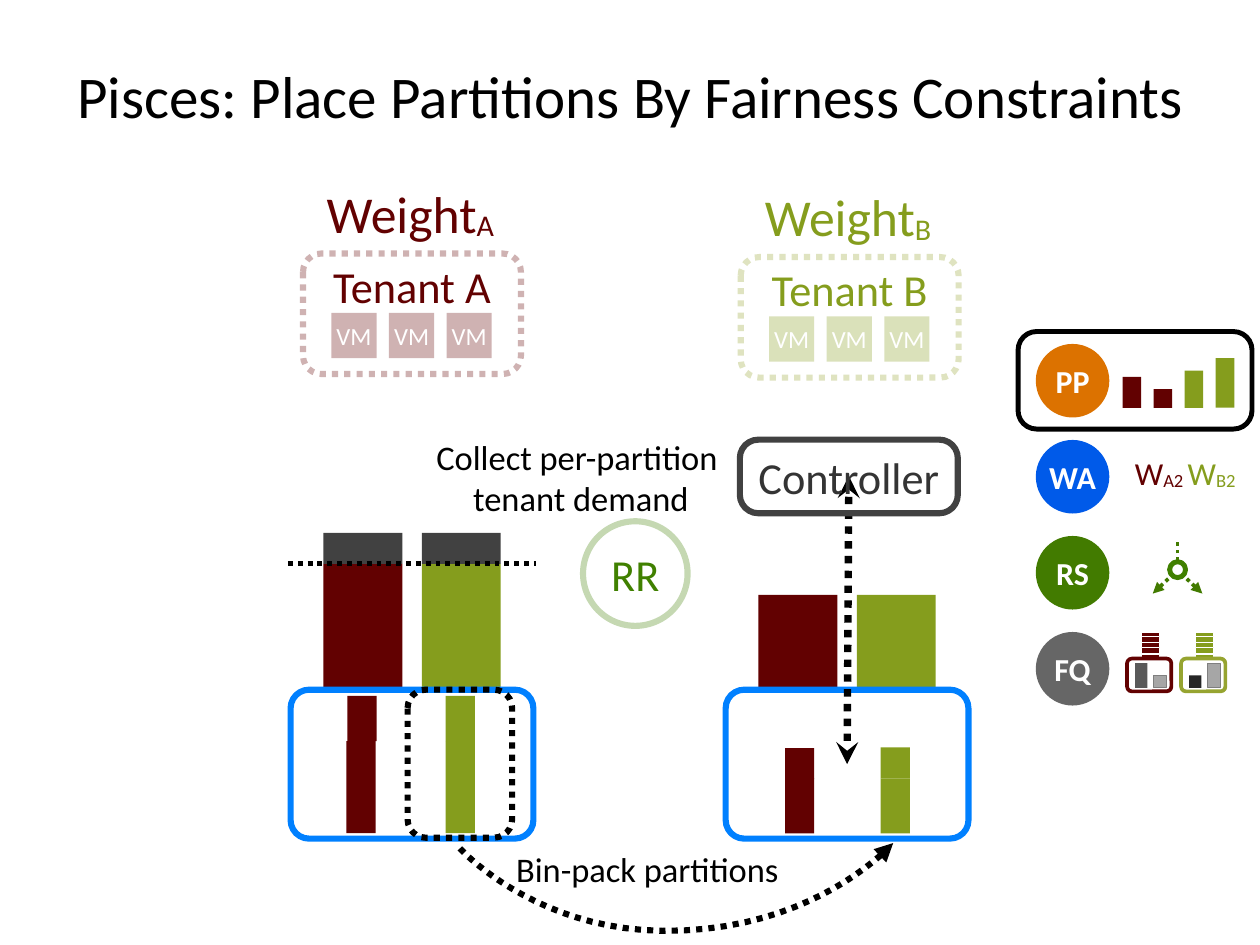
from lxml import etree
from pptx import Presentation
from pptx.dml.color import RGBColor
from pptx.enum.dml import MSO_LINE
from pptx.enum.shapes import MSO_CONNECTOR, MSO_SHAPE
from pptx.enum.text import MSO_ANCHOR, PP_ALIGN
from pptx.oxml.ns import qn
from pptx.util import Inches, Pt

RECT, ROUND, OVAL = MSO_SHAPE.RECTANGLE, MSO_SHAPE.ROUNDED_RECTANGLE, MSO_SHAPE.OVAL
STRAIGHT = MSO_CONNECTOR.STRAIGHT
DOTTED = MSO_LINE.ROUND_DOT
TOP, MIDDLE = MSO_ANCHOR.TOP, MSO_ANCHOR.MIDDLE
CENTER = PP_ALIGN.CENTER
FONT = "Calibri"

COLORS = {
    "black": "000000", "white": "FFFFFF", "maroon": "620101", "olive": "859D1D",
    "olive line": "96A430", "charcoal": "414141", "controller": "343434",
    "blue line": "0080FF", "green line": "408000", "orange": "DC7200",
    "blue": "005AE9", "green": "427B00", "grey": "666666", "dark bar": "595959",
    "black bar": "262626", "light bar": "A6A6A6", "bar line": "7F7F7F",
}


def rgb(name):
    return RGBColor.from_string(COLORS[name])


def write(shape, lines, size, bold=False, anchor=MIDDLE, wrap=True):
    """Each line is a list of (text, color, is_subscript)."""
    frame = shape.text_frame
    frame.margin_left = frame.margin_right = frame.margin_top = frame.margin_bottom = 0
    frame.word_wrap = wrap
    frame.vertical_anchor = anchor
    for index, line in enumerate(lines):
        para = frame.paragraphs[0] if index == 0 else frame.add_paragraph()
        para.alignment = CENTER
        for text, color, subscript in line:
            span = para.add_run()
            span.text = text
            span.font.name = FONT
            span.font.size = Pt(size)
            span.font.bold = bold
            span.font.color.rgb = rgb(color)
            if subscript:
                span._r.get_or_add_rPr().set("baseline", "-6000")


def label(page, left, top, width, height, lines, size, wrap=False):
    box = page.shapes.add_textbox(*map(Inches, (left, top, width, height)))
    write(box, lines, size, wrap=wrap)


def outline(shape, color, width, dotted=False):
    shape.line.color.rgb = rgb(color)
    shape.line.width = Pt(width)
    if dotted:
        shape.line.dash_style = DOTTED


def draw(page, kind, left, top, width, height, fill=None, line=None,
         corner=None, opacity=None):
    """line is (color, width) or (color, width, dotted)."""
    shape = page.shapes.add_shape(kind, *map(Inches, (left, top, width, height)))
    shape.shadow.inherit = False
    if corner is not None:
        shape.adjustments[0] = corner
    if fill:
        shape.fill.solid()
        shape.fill.fore_color.rgb = rgb(fill)
    else:
        shape.fill.background()
    if line:
        outline(shape, *line)
    else:
        shape.line.fill.background()
    if opacity:
        for color in list(shape._element.spPr.iter(qn("a:srgbClr"))):
            etree.SubElement(color, qn("a:alpha")).set("val", str(opacity * 1000))
    return shape


def add_arrowhead(shape, end, style):
    etree.SubElement(shape.line._get_or_add_ln(), qn("a:" + end)).set("type", style)


def dotted_line(page, start, finish, color, width, heads=()):
    line = page.shapes.add_connector(STRAIGHT, *map(Inches, start + finish))
    outline(line, color, width, True)
    for end, style in heads:
        add_arrowhead(line, end, style)
    etree.SubElement(line._element.spPr, qn("a:effectLst"))


def tenant(page, left, top, letter, color, line_color):
    label(page, left + 0.09, top - 0.81, 2.32, 0.7,
          [[("Weight", color, False), (letter + " ", color, True)]], 42)
    frame = draw(page, ROUND, left, top, 2.46, 1.36, "white",
                 (line_color, 5, True), 0.153, 30)
    write(frame, [[("Tenant " + letter, color, False)]], 36, anchor=TOP)
    for index in range(3):
        machine = draw(page, RECT, left + 0.32 + 0.65 * index, top + 0.67, 0.51, 0.51,
                       color, opacity=30)
        write(machine, [[("VM", "white", False)]], 20)


def server(page, left, top, demand, excess, partitions):
    """Demand bars stand on the box, partition bars inside it."""
    for offset, color in ((0.37, "maroon"), (1.48, "olive")):
        bar_top = top - 0.03 - demand
        draw(page, RECT, left + offset, bar_top, 0.89, demand, color)
        if excess:
            draw(page, RECT, left + offset, bar_top - excess, 0.89, excess, "charcoal")
    for offset, drop, height, color in partitions:
        draw(page, RECT, left + offset, top + drop, 0.33, height, color)
    draw(page, ROUND, left, top, 2.74, 1.68, line=("blue line", 5), corner=0.124)


def placement_icon(page, left, top):
    bars = ((0.35, "maroon"), (0.21, "maroon"), (0.42, "olive"), (0.56, "olive"))
    for index, (height, color) in enumerate(bars):
        draw(page, RECT, left + 0.98 + 0.35 * index, top + 0.72 - height, 0.21, height, color)


def weight_icon(page, left, top):
    label(page, left + 1.05, top + 0.16, 1.27, 0.43,
          [[("W", "maroon", False), ("A2 ", "maroon", True),
            ("W", "olive", False), ("B2", "olive", True)]], 26)


def replica_icon(page, left, top):
    center = left + 1.6
    draw(page, OVAL, center - 0.09, top + 0.29, 0.18, 0.18, "white", ("green line", 4))
    for side in (-1, 1):
        dotted_line(page, (center + 0.28 * side, top + 0.65),
                    (center + 0.08 * side, top + 0.46), "green", 3,
                    [("headEnd", "triangle")])
    dotted_line(page, (center, top + 0.28), (center, top + 0.07), "green", 3)


def queue_icon(page, left, top):
    light = ("light bar", ("bar line", 0.75))
    queues = (("maroon", "maroon", (0.28, "dark bar", None), (0.14, *light)),
              ("olive", "olive line", (0.14, "black bar", None), (0.28, *light)))
    for index, (color, line_color, *bars) in enumerate(queues):
        box_left = left + 1.03 + 0.61 * index
        for height in (0.28, 0.2, 0.06):
            draw(page, RECT, box_left + 0.16, top + 0.15 - height / 2, 0.21, height,
                 color, ("white", 1))
        for offset, (height, fill, line) in zip((0.09, 0.3), bars):
            draw(page, RECT, box_left + offset, top + 0.63 - height, 0.14, height, fill, line)
        draw(page, ROUND, box_left, top + 0.3, 0.5, 0.37, line=(line_color, 3), corner=0.146)


def mechanisms(page, left, top):
    rows = (("PP", "orange", placement_icon), ("WA", "blue", weight_icon),
            ("RS", "green", replica_icon), ("FQ", "grey", queue_icon))
    for index, (name, color, icon) in enumerate(rows):
        row_left, row_top = left + 0.2, top + 0.14 + 1.083 * index
        badge = draw(page, OVAL, row_left, row_top, 0.83, 0.83, color)
        write(badge, [[(name, "white", False)]], 26, bold=True)
        icon(page, row_left, row_top)
    # Frame around the active mechanism
    draw(page, ROUND, left, top, 2.64, 1.1, line=("black", 4), corner=0.19)


def curved_arrow(page, curves, steps=20):
    """Trace cubic curves, each given by four control points."""
    points = [curves[0][0]]
    for curve in curves:
        for step in range(1, steps + 1):
            t = step / steps
            weights = ((1 - t) ** 3, 3 * t * (1 - t) ** 2, 3 * t * t * (1 - t), t ** 3)
            points.append(tuple(sum(w * point[axis] for w, point in zip(weights, curve))
                                for axis in (0, 1)))
    points = [(Inches(x), Inches(y)) for x, y in points]
    builder = page.shapes.build_freeform(*points[0])
    builder.add_line_segments(points[1:], close=False)
    arrow = builder.convert_to_shape()
    arrow.shadow.inherit = False
    arrow.fill.background()
    outline(arrow, "black", 5, True)
    add_arrowhead(arrow, "tailEnd", "triangle")


def main():
    deck = Presentation()
    deck.slide_width, deck.slide_height = Inches(14.22), Inches(10.66)
    page = deck.slides.add_slide(deck.slide_layouts[6])
    label(page, 0.31, 0.38, 13.61, 1.37,
          [[("Pisces: Place Partitions By Fairness Constraints", "black", False)]], 48, True)

    # Servers with demand and capacity limit
    server(page, 3.28, 7.78, 1.39, 0.35,
           ((0.63, 0.58, 1.04, "maroon"), (0.64, 0.07, 0.51, "maroon"),
            (1.75, 0.07, 0.51, "olive"), (1.75, 0.58, 1.04, "olive")))
    server(page, 8.19, 7.78, 1.04, 0,
           ((0.67, 0.66, 0.35, "maroon"), (0.67, 1, 0.62, "maroon"),
            (1.75, 1, 0.62, "olive"), (1.75, 0.65, 0.35, "olive")))
    dotted_line(page, (3.25, 6.36), (6.05, 6.36), "black", 4)

    # Tenants and mechanisms
    tenant(page, 3.42, 2.86, "A", "maroon", "maroon")
    tenant(page, 8.36, 2.9, "B", "olive", "olive line")
    mechanisms(page, 11.49, 3.74)

    # Request router and controller
    router = draw(page, OVAL, 6.58, 5.88, 1.18, 1.18, "white", ("green line", 5), opacity=30)
    write(router, [[("RR", "green line", False)]], 36)
    label(page, 4.68, 4.92, 3.75, 0.93,
          [[("Collect per-partition ", "black", False)],
           [("tenant demand", "black", False)]], 28)
    dotted_line(page, (9.58, 5.37), (9.56, 8.62), "black", 6,
                [("headEnd", "stealth"), ("tailEnd", "stealth")])
    controller = draw(page, ROUND, 8.35, 4.96, 2.46, 0.83, line=("charcoal", 5), corner=0.25)
    write(controller, [[("Controller", "controller", False)]], 36)

    # Partition being moved
    draw(page, ROUND, 4.6, 7.78, 1.18, 1.67, line=("black", 5, True), corner=0.175)
    curved_arrow(page, (((5.19, 9.57), (5.19, 9.57), (6.01, 10.48), (7.47, 10.5)),
                        ((7.47, 10.5), (9.2, 10.52), (10.08, 9.51), (10.08, 9.51))))
    label(page, 5.59, 9.57, 3.43, 0.47, [[("Bin-pack partitions", "black", False)]], 28)
    deck.save("out.pptx")


if __name__ == "__main__":
    main()
